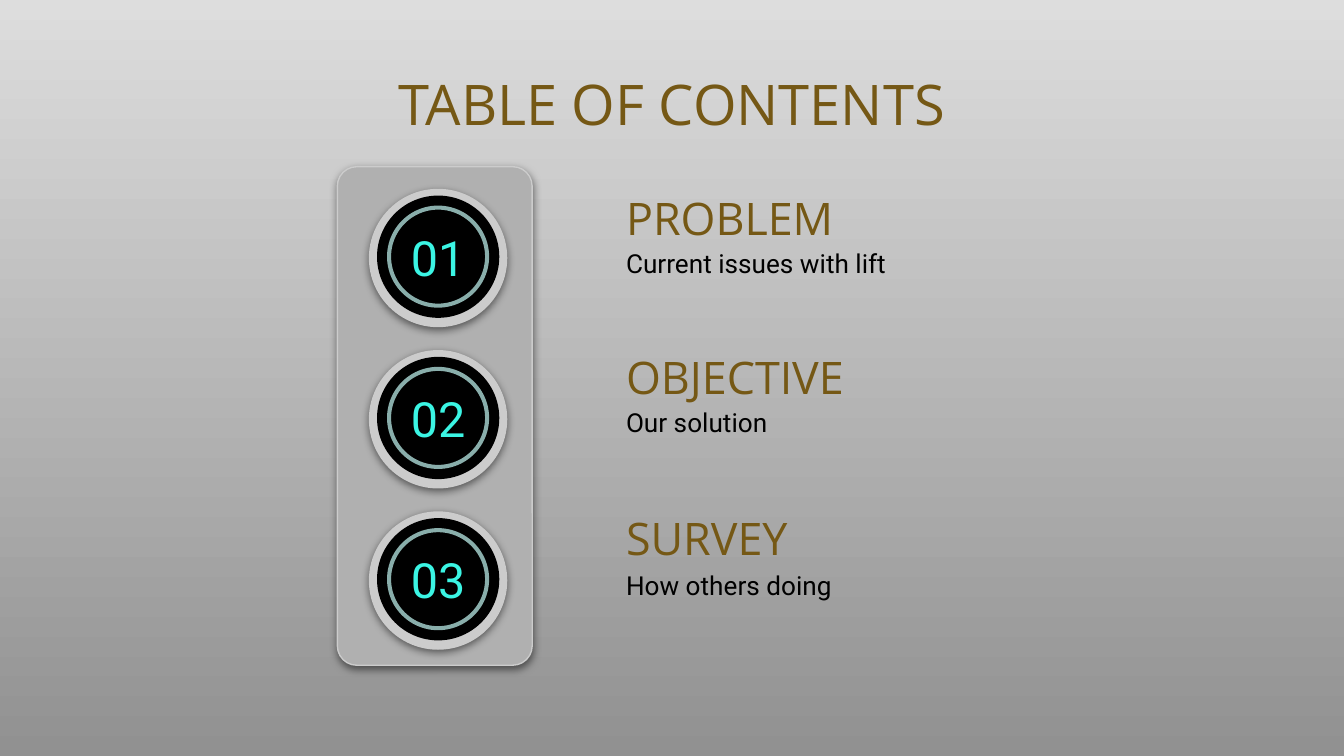
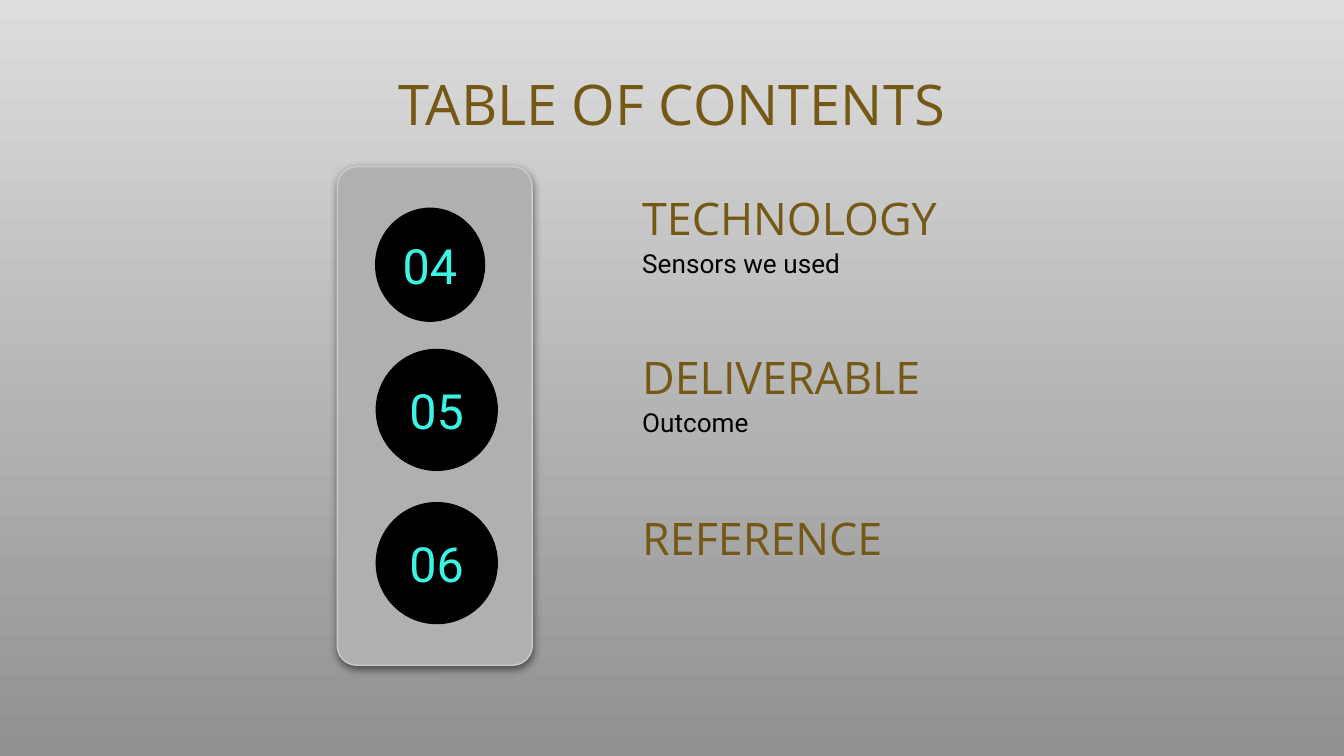
from lxml import etree
from pptx import Presentation
from pptx import util as u
from pptx.dml.color import RGBColor
from pptx.enum import shapes, text
from pptx.oxml.ns import qn

COLORS = {
    "sky": "DDDDDD", "ground": "919191", "panel": "B0B0B0", "rim": "CCCCCC",
    "heading": "755815", "body": "000000", "disc": "000000",
    "digit": "3BF5E4", "ring": "89AEAB",
}
FORMATS = {
    "title": {"name": "Open Sans", "size": u.Pt(30), "color": "heading"},
    "heading": {"name": "Open Sans", "size": u.Pt(24), "color": "heading"},
    "body": {"name": "Roboto", "size": u.Pt(14), "color": "body"},
    "digit": {"name": "Roboto", "size": u.Pt(26), "color": "digit"},
}
HEADING_BOXES = [(1.1, 2.88, 0.82), (2.39, 2.93, 0.71), (3.48, 2.64, 0.82)]
BODY_TOPS = [1.74, 2.92, 4.14]
HANGING = {"marL": u.Inches(0.5), "indent": u.Inches(-0.38)}


class Deck:
    """Elevator-panel style and the slide being drawn."""

    def __init__(self):
        self.prs = Presentation()
        self.prs.slide_width = u.Inches(10)
        self.prs.slide_height = u.Inches(5.625)
        self.slide = None

    def color(self, key):
        return RGBColor.from_string(COLORS[key])

    def contents(self, entries, indent):
        self.slide = self.prs.slides.add_slide(self.prs.slide_layouts[6])
        fill = self.slide.background.fill
        fill.gradient()
        fill.gradient_angle = 270
        for stop, key in zip(fill.gradient_stops, ("sky", "ground")):
            stop.color.rgb = self.color(key)
        self.panel()
        middle, bottom = text.MSO_ANCHOR.MIDDLE, text.MSO_ANCHOR.BOTTOM
        self.label((1.5, 0.41, 7, 0.71), "TABLE OF CONTENTS", "title", middle,
                   text.PP_ALIGN.CENTER)
        for (heading, body), (top, width, height), body_top in zip(
                entries, HEADING_BOXES, BODY_TOPS):
            self.label((4.56, top, width, height), heading, "heading", bottom,
                       indent=indent)
            if body:
                self.label((4.56, body_top, 2.64, 0.82), body, "body",
                           indent=indent)

    def shape(self, kind, box, fill, shadow=False):
        drawn = self.slide.shapes.add_shape(kind, *map(u.Inches, box))
        drawn.shadow.inherit = False
        drawn.fill.solid()
        drawn.fill.fore_color.rgb = self.color(fill)
        drawn.line.fill.background()
        if shadow:
            effects = drawn._element.spPr.find(qn("a:effectLst"))
            outer = etree.SubElement(
                effects, qn("a:outerShdw"), blurRad=str(u.Pt(4.5)),
                dist=str(u.Pt(1.5)), dir="5400000", algn="bl", rotWithShape="0")
            black = etree.SubElement(outer, qn("a:srgbClr"), val="000000")
            etree.SubElement(black, qn("a:alpha"), val="50000")
        return drawn

    def panel(self):
        plate = self.shape(shapes.MSO_SHAPE.ROUNDED_RECTANGLE,
                           (2.51, 1.24, 1.45, 3.71), "panel", shadow=True)
        plate.adjustments[0] = 0.1
        plate.line.color.rgb = self.color("rim")
        plate.line.width = u.Pt(0.75)

    def circle(self, x, y, width, fill, height=None, shadow=False,
               kind=shapes.MSO_SHAPE.OVAL):
        height = height or width
        return self.shape(kind, (x - width / 2, y - height / 2, width, height),
                          fill, shadow)

    def disc(self, x, y, number, width=0.91, height=None):
        face = self.circle(x, y, width, "disc", height)
        self.put_text(face.text_frame, number, "digit", text.MSO_ANCHOR.MIDDLE,
                      text.PP_ALIGN.CENTER, wrap=False)

    def button(self, x, y, number):
        self.circle(x, y, 1.03, "rim", shadow=True)
        self.disc(x, y - 0.01, number)
        ring = self.circle(x, y - 0.01, 0.76, "ring",
                           kind=shapes.MSO_SHAPE.DONUT)
        ring.adjustments[0] = 0.04

    def label(self, box, words, style, anchor=text.MSO_ANCHOR.TOP,
              align=text.PP_ALIGN.LEFT, indent=None):
        holder = self.slide.shapes.add_textbox(*map(u.Inches, box))
        self.put_text(holder.text_frame, words, style, anchor, align, indent)

    def put_text(self, frame, words, style, anchor, align, indent=None,
                 wrap=True):
        frame.word_wrap = wrap
        frame.vertical_anchor = anchor
        frame.margin_left = frame.margin_right = u.Inches(0.1)
        frame.margin_top = frame.margin_bottom = u.Inches(0.1)
        line = frame.paragraphs[0]
        line.alignment = align
        for name, value in (indent or {}).items():
            line._p.get_or_add_pPr().set(name, str(value))
        run = line.add_run()
        run.text = words
        for name, value in FORMATS[style].items():
            if name == "color":
                run.font.color.rgb = self.color(value)
            else:
                setattr(run.font, name, value)


deck = Deck()

deck.contents([("PROBLEM", "Current issues with lift"),
               ("OBJECTIVE", "Our solution"),
               ("SURVEY", "How others doing")], None)
for floor in range(3):
    deck.button(3.26, 1.92 + 1.2 * floor, f"{floor + 1:02}")

deck.contents([("TECHNOLOGY", "Sensors we used"),
               ("DELIVERABLE", "Outcome"),
               ("REFERENCE", None)], HANGING)
deck.disc(3.2, 1.97, "04", 0.82, 0.85)
deck.disc(3.25, 3.05, "05")
deck.disc(3.25, 4.19, "06")

deck.prs.save("out.pptx")
